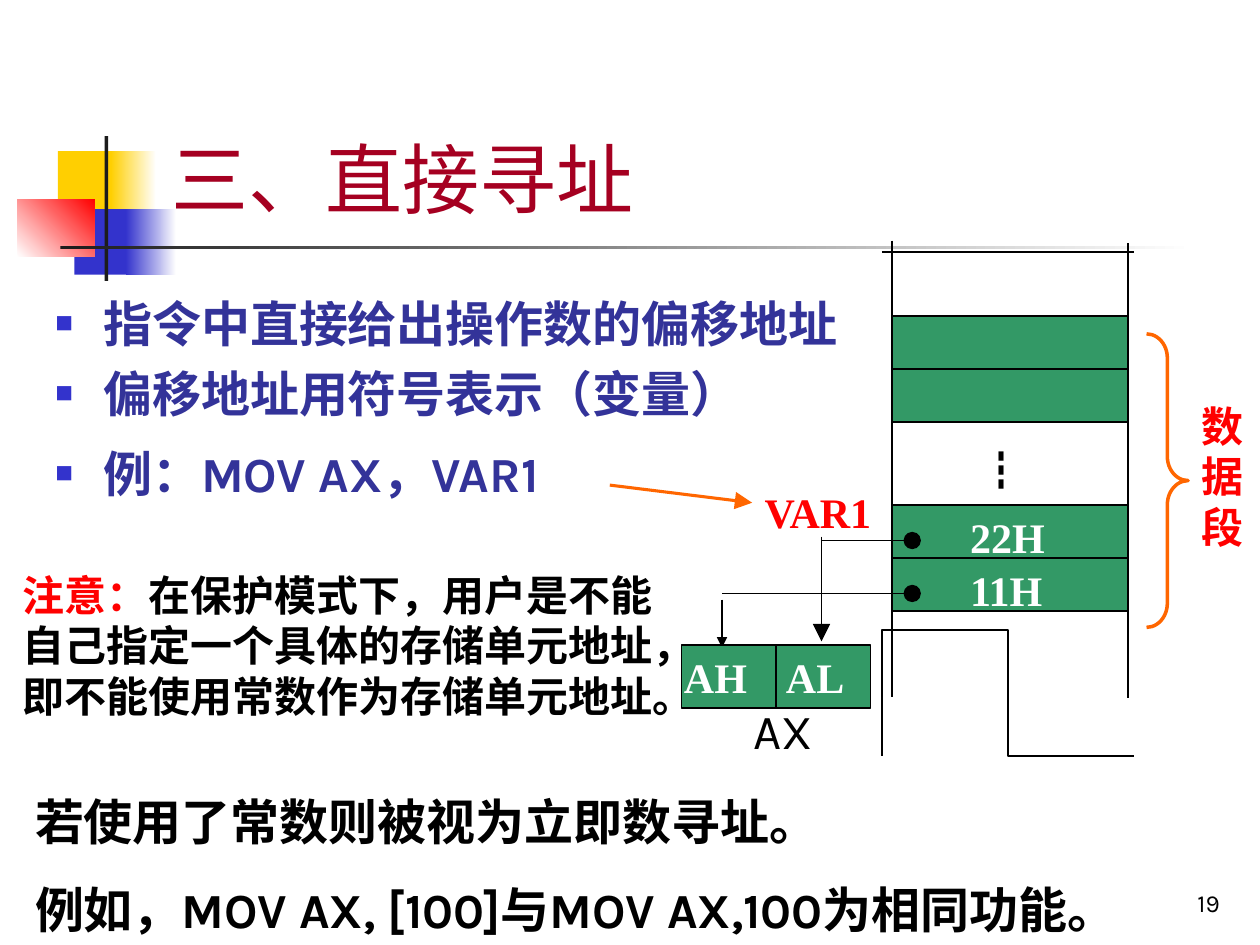
"""Build the slide on direct addressing."""
from dataclasses import dataclass

from lxml import etree
from pptx import Presentation
from pptx.dml.color import RGBColor
from pptx.enum.shapes import MSO_CONNECTOR, MSO_SHAPE
from pptx.enum.text import MSO_ANCHOR, MSO_AUTO_SIZE, PP_ALIGN
from pptx.oxml.ns import qn
from pptx.util import Inches, Pt

RECT, BRACE = MSO_SHAPE.RECTANGLE, MSO_SHAPE.RIGHT_BRACE
STRAIGHT = MSO_CONNECTOR.STRAIGHT
BOTTOM, TOP = MSO_ANCHOR.BOTTOM, MSO_ANCHOR.TOP
GROW, FIXED = MSO_AUTO_SIZE.SHAPE_TO_FIT_TEXT, MSO_AUTO_SIZE.NONE
LEFT, RIGHT = PP_ALIGN.LEFT, PP_ALIGN.RIGHT


@dataclass(frozen=True)
class Theme:
    sans: str = "Karla"
    serif: str = "Times New Roman"
    asian: str = "Noto Sans CJK SC"
    black: str = "000000"
    white: str = "FFFFFF"
    dark: str = "1C1C1C"
    gold: str = "FFCF01"
    blue: str = "3333CC"
    red: str = "FF0000"
    green: str = "339966"
    orange: str = "FF6600"
    title: str = "A50021"
    body: str = "333399"
    huge: int = 44
    large: int = 28
    mid: int = 24
    small: int = 14


T = Theme()


@dataclass(frozen=True)
class Box:
    x: float
    y: float
    w: float
    h: float

    def place(self) -> tuple:
        return tuple(Inches(v) for v in (self.x, self.y, self.w, self.h))


@dataclass(frozen=True)
class Block:
    box: Box
    fill: str
    end: str = ""
    angle: int = 0


@dataclass(frozen=True)
class Label:
    box: Box
    text: str
    color: str
    font: str = T.serif
    size: int = T.mid
    bold: bool = True


@dataclass(frozen=True)
class Wire:
    start: tuple
    stop: tuple
    head: str = ""
    tail: str = ""
    scale: str = "lg"
    color: str = T.black
    width: float = 1


BLOCKS = (
    Block(Box(0.46, 1.2, 0.48, 0.52), T.gold),
    Block(Box(0.88, 1.2, 0.36, 0.52), T.gold, T.white),
    Block(Box(0.59, 1.66, 0.46, 0.52), T.blue),
    Block(Box(1, 1.66, 0.4, 0.52), T.blue, T.white),
    Block(Box(0.14, 1.58, 0.61, 0.46), T.white, T.red, 45),
    Block(Box(0.83, 1.08, 0.03, 1.15), T.dark),
    Block(Box(0.48, 1.95, 9, 0.03), T.dark, T.white),
)
CELL_TOPS = (2.51, 2.93, 4.01, 4.43)
WIRES = (
    Wire((7.08, 1.91), (7.08, 5.53)),
    Wire((8.95, 1.93), (8.95, 5.54)),
    Wire((4.84, 3.85), (5.97, 3.99), tail="triangle", color=T.orange, width=1.75),
    Wire((7.24, 4.71), (5.73, 4.71), head="oval"),
    Wire((5.73, 4.76), (5.73, 5.14), tail="triangle", scale="med"),
    Wire((7.24, 4.29), (6.52, 4.29), head="oval"),
    Wire((6.52, 4.26), (6.52, 5.09), tail="triangle"),
)
LABELS = (
    Label(Box(7.6, 4.01, 0.92, 0.5), "22H", T.white),
    Label(Box(7.6, 4.43, 0.92, 0.5), "11H", T.white),
    Label(Box(5.97, 3.81, 1.15, 0.5), "VAR1", T.red),
    Label(Box(7.68, 3.48, 0.67, 0.5), "┇", T.black, T.asian, bold=False),
    Label(Box(9.44, 3.13, 0.58, 1.3), "数据段", T.red),
    Label(Box(5.88, 5.51, 0.7, 0.57), "AX", T.black, T.sans, T.large, False),
)
PAIR = Label(Box(5.33, 5.12, 1.67, 0.5), "AH\tAL", T.white)
NOTE = Label(Box(0.08, 4.47, 5.3, 1.31), "注意：", T.red, T.sans)
NOTE_REST = "在保护模式下，用户是不能自己指定一个具体的存储单元地址，即不能使用常数作为存储单元地址。"
CLOSE = Label(Box(0.18, 6, 9.32, 1.51),
              "若使用了常数则被视为立即数寻址。\n例如，MOV AX, [100]与MOV AX,100为相同功能。",
              T.black, T.sans, T.large)
PAGE = Label(Box(7.7, 6.83, 2.08, 0.5), "19", T.black, T.sans, T.small, False)
TITLE = Label(Box(1.26, 0.23, 8.52, 1.6), "三、直接寻址", T.title, T.sans, T.huge, False)
BODY = Label(Box(0.34, 2.23, 8.58, 2.22),
             "指令中直接给出操作数的偏移地址\n偏移地址用符号表示（变量）\n例：MOV AX，VAR1",
             T.body, T.sans, T.large)
BODY_GAPS = (0, 1, 7)
CREST = ((7.07, 1.95), (7.09, 1.93), (7.17, 1.86), (7.19, 1.85), (7.22, 1.84),
         (7.28, 1.82), (7.28, 1.82), (7.38, 1.84), (7.48, 1.86), (7.59, 1.87),
         (7.75, 1.93), (7.87, 2.05), (8.02, 2.12), (8.07, 2.17), (8.12, 2.18),
         (8.18, 2.22), (8.33, 2.22), (8.49, 2.23), (8.64, 2.21), (8.68, 2.2),
         (8.7, 2.15), (8.72, 2.12), (8.79, 2.06), (8.85, 2), (8.92, 1.93))
BASE = ((7.07, 5.55), (7.2, 5.51), (7.05, 5.57), (7.14, 5.48), (7.16, 5.46),
        (7.2, 5.45), (7.23, 5.42), (7.28, 5.37), (7.34, 5.33), (7.41, 5.31),
        (7.48, 5.24), (7.54, 5.19), (7.63, 5.16), (7.69, 5.17), (7.75, 5.17),
        (7.81, 5.18), (7.84, 5.19), (7.88, 5.26), (7.91, 5.28), (7.98, 5.34),
        (7.99, 5.34), (8.07, 5.37), (8.2, 5.51), (8.36, 5.58), (8.55, 5.61),
        (8.66, 5.65), (8.64, 5.65), (8.84, 5.61), (8.85, 5.61), (8.86, 5.59),
        (8.87, 5.58), (8.88, 5.57), (8.9, 5.56), (8.92, 5.55), (8.93, 5.54),
        (8.95, 5.52), (8.95, 5.52))


def add_node(root, tag: str, **attrs: str):
    return etree.SubElement(root, qn(tag), attrs)


def ink(line, color: str, width: float) -> None:
    line.color.rgb = RGBColor.from_string(color)
    line.width = Pt(width)


def style(run, label: Label, color: str = "") -> None:
    font = run.font
    font.name, font.size, font.bold = label.font, Pt(label.size), label.bold
    font.color.rgb = RGBColor.from_string(color or label.color)
    add_node(run.font._element, "a:ea", typeface=T.asian)


def write(shape, label: Label, anchor=TOP, align=LEFT, fit=GROW):
    frame = shape.text_frame
    frame.text = label.text
    frame.word_wrap, frame.vertical_anchor, frame.auto_size = True, anchor, fit
    for para in frame.paragraphs:
        para.alignment = align
        for run in para.runs:
            style(run, label)
    return frame


def add_label(shapes, label: Label, **look):
    return write(shapes.add_textbox(*label.box.place()), label, **look)


def add_block(shapes, block: Block):
    shape = shapes.add_shape(RECT, *block.box.place())
    shape.shadow.inherit = False
    shape.line.fill.background()
    if block.end:
        shape.fill.gradient()
        shape.fill.gradient_angle = block.angle
        for stop, color in zip(shape.fill.gradient_stops, (block.fill, block.end)):
            stop.color.rgb = RGBColor.from_string(color)
    else:
        shape.fill.solid()
        shape.fill.fore_color.rgb = RGBColor.from_string(block.fill)
    return shape


def add_cell(shapes, box: Box):
    cell = add_block(shapes, Block(box, T.green))
    ink(cell.line, T.black, 1)
    return cell


def add_wire(shapes, wire: Wire):
    ends = [Inches(v) for v in wire.start + wire.stop]
    line = shapes.add_connector(STRAIGHT, *ends)
    ink(line.line, wire.color, wire.width)
    for tag, kind in (("a:headEnd", wire.head), ("a:tailEnd", wire.tail)):
        if kind:
            add_node(line.line._get_or_add_ln(), tag, type=kind, w=wire.scale, len=wire.scale)
    add_node(line._element.spPr, "a:effectLst")
    return line


def add_curve(shapes, points: tuple, steps: int = 6) -> None:
    dots = []
    for i in range(0, len(points) - 1, 3):
        for t in (n / steps for n in range(1, steps + 1)):
            parts = ((1 - t) ** 3, 3 * t * (1 - t) ** 2, 3 * t * t * (1 - t), t ** 3)
            dots.append(tuple(sum(k * p[axis] for k, p in zip(parts, points[i:i + 4]))
                              for axis in (0, 1)))
    pen = shapes.build_freeform(*points[0], scale=Inches(1))
    pen.add_line_segments(dots, close=False)
    curve = pen.convert_to_shape()
    curve.shadow.inherit = False
    curve.fill.background()
    ink(curve.line, T.black, 1)


def fill_holders(slide) -> None:
    title, body = slide.shapes.title, slide.placeholders[1]
    for shape, label in ((title, TITLE), (body, BODY)):
        shape.left, shape.top, shape.width, shape.height = label.box.place()
    write(title, TITLE, anchor=BOTTOM, fit=FIXED)
    for para, gap in zip(write(body, BODY, fit=FIXED).paragraphs, BODY_GAPS):
        props = para._p.get_or_add_pPr()
        props.set("marL", str(Inches(0.38)))
        props.set("indent", str(Inches(-0.38)))
        add_node(add_node(props, "a:buClr"), "a:srgbClr", val=T.blue)
        add_node(props, "a:buSzPct", val="60000")
        add_node(props, "a:buFont", typeface=T.serif)
        add_node(props, "a:buChar", char="■")
        para.line_spacing = 1.1
        para.space_before, para.space_after = Pt(gap), Pt(2)


def main() -> None:
    deck = Presentation()
    deck.slide_width, deck.slide_height = Inches(10), Inches(7.5)
    slide = deck.slides.add_slide(deck.slide_layouts[1])
    shapes = slide.shapes
    for block in BLOCKS:
        add_block(shapes, block)
    fill_holders(slide)
    for top in CELL_TOPS:
        add_cell(shapes, Box(7.08, top, 1.87, 0.42))
    for points in (CREST, BASE):
        add_curve(shapes, points)
    brace = shapes.add_shape(BRACE, *Box(9.1, 2.65, 0.33, 2.33).place())
    brace.shadow.inherit = False
    brace.fill.background()
    brace.adjustments[0] = 0.58
    ink(brace.line, T.orange, 2)
    for wire in WIRES:
        add_wire(shapes, wire)
    store = add_cell(shapes, Box(5.41, 5.12, 1.5, 0.5))
    split = add_wire(shapes, Wire((6.16, 5.12), (6.16, 5.62)))
    split.begin_connect(store, 0)
    split.end_connect(store, 2)
    for label in LABELS:
        add_label(shapes, label)
    props = add_label(shapes, PAIR).paragraphs[0]._p.get_or_add_pPr()
    add_node(add_node(props, "a:tabLst"), "a:tab", pos=str(Inches(0.81)), algn="l")
    rest = add_label(shapes, NOTE).paragraphs[0].add_run()
    rest.text = NOTE_REST
    style(rest, NOTE, T.black)
    for para in add_label(shapes, CLOSE).paragraphs:
        para.line_spacing = 1.5
    add_label(shapes, PAGE, anchor=BOTTOM, align=RIGHT, fit=FIXED)
    deck.save("out.pptx")


if __name__ == "__main__":
    main()
